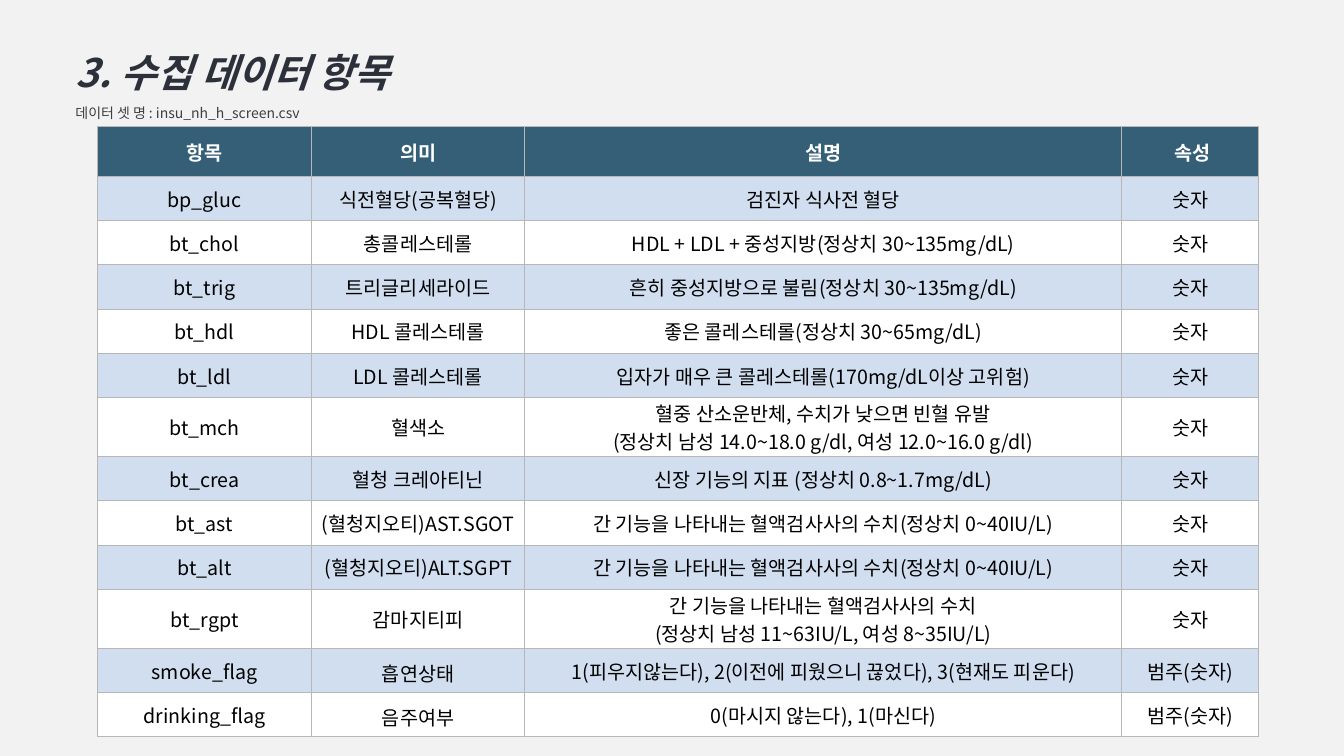
from dataclasses import dataclass

from lxml import etree
from pptx import Presentation
from pptx.dml.color import RGBColor
from pptx.enum.text import MSO_ANCHOR, PP_ALIGN
from pptx.oxml.ns import qn
from pptx.util import Pt

LEFT, CENTER = PP_ALIGN.LEFT, PP_ALIGN.CENTER
MIDDLE = MSO_ANCHOR.MIDDLE


@dataclass(frozen=True)
class Theme:
    font: str = "Noto Sans CJK KR"
    back: str = "F2F2F2"
    title: str = "2C303A"
    note: str = "3F3F3F"
    head: str = "355F77"
    band: str = "D0DEEF"
    white: str = "FFFFFF"
    black: str = "000000"
    rule: str = "B7B7B7"
    big: float = 28
    body: float = 14
    small: float = 10


@dataclass(frozen=True)
class Item:
    name: str
    sense: str
    about: str
    kind: str = "숫자"
    lead: float = 1.0  # line spacing of the sense cell


THEME = Theme()
COLS = (152.6, 152.6, 426.2, 97.9)
HEAD_H, ROW_H, TALL_H = 35.6, 31.6, 42.1
INSET = 0.7

HEAD = Item("항목", "의미", "설명", " 속성")
ITEMS = (
    Item("bp_gluc", "식전혈당(공복혈당)", "검진자 식사전 혈당"),
    Item("bt_chol", "총콜레스테롤", "HDL + LDL + 중성지방(정상치 30~135mg/dL)"),
    Item("bt_trig", "트리글리세라이드", "흔히 중성지방으로 불림(정상치 30~135mg/dL)"),
    Item("bt_hdl", "HDL 콜레스테롤", "좋은 콜레스테롤(정상치 30~65mg/dL)"),
    Item("bt_ldl", "LDL 콜레스테롤", "입자가 매우 큰 콜레스테롤(170mg/dL이상 고위험)"),
    Item("bt_mch", "혈색소",
         "혈중 산소운반체, 수치가 낮으면 빈혈 유발\n"
         "(정상치 남성 14.0~18.0 g/dl, 여성 12.0~16.0 g/dl)"),
    Item("bt_crea", "혈청 크레아티닌", "신장 기능의 지표 (정상치 0.8~1.7mg/dL)"),
    Item("bt_ast", "(혈청지오티)AST.SGOT",
         "간 기능을 나타내는 혈액검사사의 수치(정상치 0~40IU/L)"),
    Item("bt_alt", "(혈청지오티)ALT.SGPT",
         "간 기능을 나타내는 혈액검사사의 수치(정상치 0~40IU/L)"),
    Item("bt_rgpt", "감마지티피",
         "간 기능을 나타내는 혈액검사사의 수치\n"
         "(정상치 남성 11~63IU/L, 여성 8~35IU/L)"),
    Item("smoke_flag", "흡연상태",
         "1(피우지않는다), 2(이전에 피웠으니 끊었다), 3(현재도 피운다)",
         "범주(숫자)", 1.15),
    Item("drinking_flag", "음주여부", "0(마시지 않는다), 1(마신다)",
         "범주(숫자)", 1.15),
)


def write(para, text: str, *, size: float = THEME.body, color: str = THEME.black,
          bold: bool = False, italic: bool = False, align=CENTER,
          lead: float = 1.0) -> None:
    para.alignment = align
    para.line_spacing = lead
    run = para.add_run()
    run.text = text
    font = run.font
    font.size, font.bold, font.italic = Pt(size), bold, italic
    font.color.rgb = RGBColor.from_string(color)
    font.name = THEME.font
    # East Asian typeface
    etree.SubElement(font._element, qn("a:ea"), typeface=THEME.font)


def edge(cell) -> None:
    props = cell._tc.get_or_add_tcPr()
    for side in ("lnL", "lnR", "lnT", "lnB"):
        line = etree.SubElement(props, qn(f"a:{side}"), w=str(Pt(0.75)))
        fill = etree.SubElement(line, qn("a:solidFill"))
        etree.SubElement(fill, qn("a:srgbClr"), val=THEME.rule)


def fill_cell(cell, text: str, shade: str, color: str, bold: bool,
              lead: float = 1.0) -> None:
    edge(cell)
    cell.fill.solid()
    cell.fill.fore_color.rgb = RGBColor.from_string(shade)
    cell.vertical_anchor = MIDDLE
    cell.margin_left = cell.margin_right = Pt(INSET)
    cell.margin_top = cell.margin_bottom = Pt(INSET)
    frame = cell.text_frame
    for i, line in enumerate(text.split("\n")):
        para = frame.add_paragraph() if i else frame.paragraphs[0]
        write(para, line, color=color, bold=bold, lead=lead)


def add_grid(slide) -> None:
    rows = (HEAD, *ITEMS)
    highs = [HEAD_H] + [TALL_H if "\n" in r.about else ROW_H for r in ITEMS]
    grid = slide.shapes.add_table(len(rows), len(COLS), Pt(69.8), Pt(90.5),
                                  Pt(sum(COLS)), Pt(sum(highs))).table
    grid.horz_banding = False
    for col, wide in zip(grid.columns, COLS):
        col.width = Pt(wide)
    for i, (item, high) in enumerate(zip(rows, highs)):
        grid.rows[i].height = Pt(high)
        top = i == 0
        shade = THEME.head if top else THEME.band if i % 2 else THEME.white
        color = THEME.white if top else THEME.black
        for j, text in enumerate((item.name, item.sense, item.about, item.kind)):
            fill_cell(grid.cell(i, j), text, shade, color, top,
                      item.lead if j == 1 else 1.0)


def add_title(slide) -> None:
    frame = slide.shapes.add_textbox(Pt(46.8), Pt(14.4), Pt(480), Pt(76.3)).text_frame
    frame.word_wrap = True
    write(frame.paragraphs[0], "3. 수집 데이터 항목", size=THEME.big,
          color=THEME.title, bold=True, italic=True, align=LEFT, lead=1.5)
    write(frame.add_paragraph(), "데이터 셋 명 : insu_nh_h_screen.csv",
          size=THEME.small, color=THEME.note, align=LEFT, lead=1.5)


def main() -> None:
    deck = Presentation()
    deck.slide_width, deck.slide_height = Pt(960), Pt(540)
    slide = deck.slides.add_slide(deck.slide_layouts[6])
    # Background
    back = slide.background.fill
    back.solid()
    back.fore_color.rgb = RGBColor.from_string(THEME.back)
    # Item table, then heading
    add_grid(slide)
    add_title(slide)
    deck.save("out.pptx")


if __name__ == "__main__":
    main()
